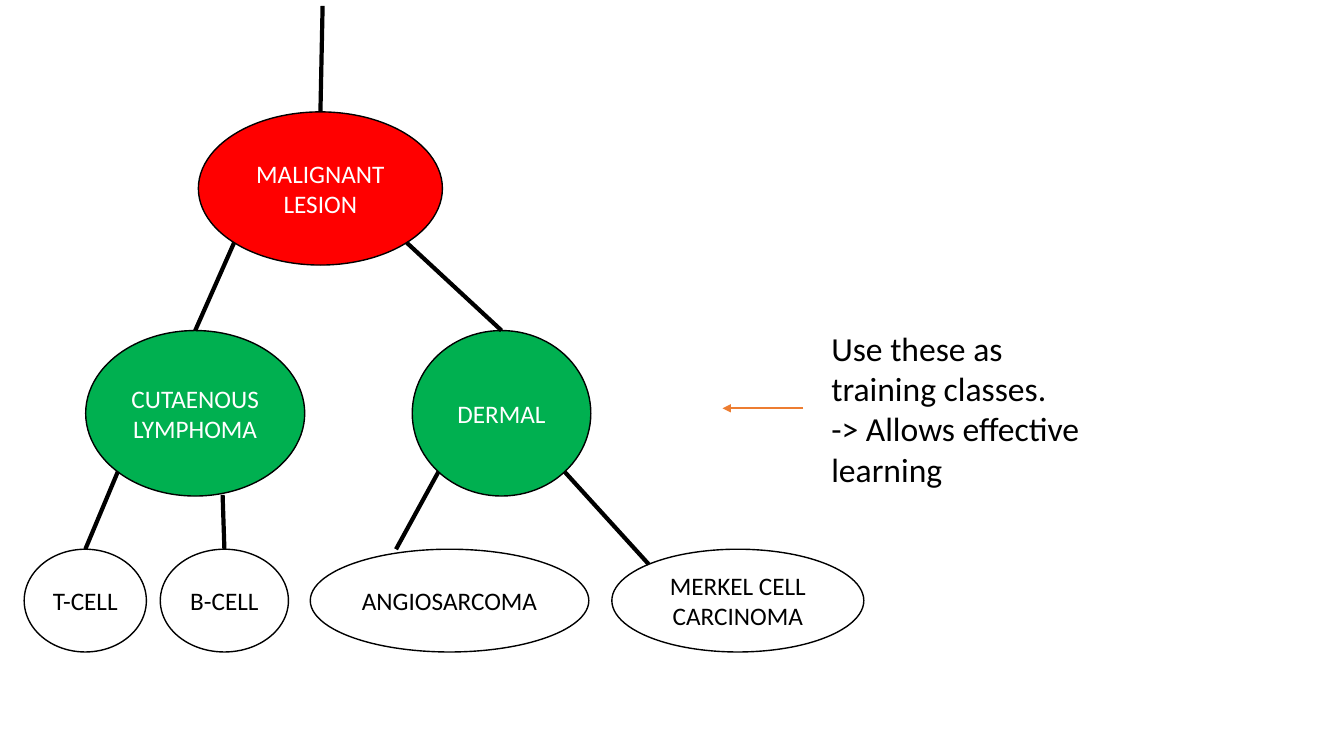
from dataclasses import dataclass
from math import cos, radians, sin

from lxml.etree import SubElement
from pptx import Presentation
from pptx.dml.color import RGBColor
from pptx.enum.shapes import MSO_CONNECTOR, MSO_SHAPE
from pptx.enum.text import MSO_ANCHOR, MSO_AUTO_SIZE, PP_ALIGN
from pptx.oxml.ns import qn
from pptx.util import Cm, Pt


@dataclass(frozen=True)
class Theme:
    """Colours, font and sizes of the slide."""
    font: str = "Calibri"
    black: RGBColor = RGBColor(0, 0, 0)
    white: RGBColor = RGBColor(255, 255, 255)
    red: RGBColor = RGBColor(255, 0, 0)
    green: RGBColor = RGBColor(0, 176, 80)
    orange: RGBColor = RGBColor(237, 125, 49)
    label_size: int = 18
    note_size: int = 24
    outline: float = 1
    branch: float = 3
    arrow: float = 1.5


THEME = Theme()
TOP, UPPER_LEFT, LOWER_LEFT, LOWER_RIGHT = 270, 225, 135, 45
ROOT_ROW = 2.82, 3.86
CLASS_ROW = 8.33, 4.17
LEAF_ROW = 13.84, 2.59


def write(frame, text, size=THEME.label_size, color=THEME.black,
          align=PP_ALIGN.LEFT, anchor=MSO_ANCHOR.TOP):
    """Fill a text frame, one paragraph for each line of text."""
    frame.word_wrap = True
    frame.vertical_anchor = anchor
    frame.text = text
    for paragraph in frame.paragraphs:
        paragraph.alignment = align
        paragraph.font.name = THEME.font
        paragraph.font.size = Pt(size)
        paragraph.font.color.rgb = color


def add_node(slide, label, left, width, row, fill=THEME.white, color=THEME.white):
    """Add a labelled ellipse in a row of the tree."""
    top, height = row
    node = slide.shapes.add_shape(MSO_SHAPE.OVAL, Cm(left), Cm(top), Cm(width), Cm(height))
    node.shadow.inherit = False
    node.fill.solid()
    node.fill.fore_color.rgb = fill
    node.line.color.rgb = THEME.black
    node.line.width = Pt(THEME.outline)
    write(node.text_frame, label, color=color, align=PP_ALIGN.CENTER, anchor=MSO_ANCHOR.MIDDLE)
    return node


def rim(node, degrees):
    """Return the point on an ellipse at a clockwise angle from its right end."""
    angle = radians(degrees)
    return (round(node.left + node.width * (1 + cos(angle)) / 2),
            round(node.top + node.height * (1 + sin(angle)) / 2))


def add_line(slide, start, end, color=THEME.black, width=THEME.branch):
    """Draw a straight line between two points."""
    line = slide.shapes.add_connector(MSO_CONNECTOR.STRAIGHT, *start, *end)
    line.line.color.rgb = color
    line.line.width = Pt(width)
    SubElement(line._element.spPr, qn("a:effectLst"))
    return line


def add_arrow(slide, start, end):
    """Draw an arrow that points at its end."""
    arrow = add_line(slide, start, end, THEME.orange, THEME.arrow)
    SubElement(arrow.line._get_or_add_ln(), qn("a:tailEnd"), type="triangle")


def add_note(slide, text, left, top, width, height):
    """Add the remark beside the tree."""
    note = slide.shapes.add_textbox(Cm(left), Cm(top), Cm(width), Cm(height))
    write(note.text_frame, text, size=THEME.note_size)
    note.text_frame.auto_size = MSO_AUTO_SIZE.SHAPE_TO_FIT_TEXT


def add_tree(slide):
    """Add the lesion tree with its nodes and branches."""
    malignant = add_node(slide, "MALIGNANT LESION", 5, 6.15, ROOT_ROW, THEME.red)
    lymphoma = add_node(slide, "CUTAENOUS LYMPHOMA", 2.16, 5.52, CLASS_ROW, THEME.green)
    dermal = add_node(slide, "DERMAL", 10.39, 4.5, CLASS_ROW, THEME.green)
    t_cell, b_cell, angiosarcoma, merkel = [
        add_node(slide, label, left, width, LEAF_ROW, color=THEME.black)
        for label, left, width in (
            ("T-CELL", 0.61, 3.08),
            ("B-CELL", 4.04, 3.23),
            ("ANGIOSARCOMA", 7.82, 7.02),
            ("MERKEL CELL CARCINOMA", 15.42, 6.35),
        )
    ]
    for start, end in (
        ((Cm(8.13), Cm(0.15)), rim(malignant, TOP)),
        (rim(malignant, LOWER_LEFT), rim(lymphoma, TOP)),
        (rim(malignant, LOWER_RIGHT), rim(dermal, TOP)),
        (rim(lymphoma, LOWER_LEFT), rim(t_cell, TOP)),
        ((Cm(5.61), Cm(12.47)), rim(b_cell, TOP)),
        (rim(dermal, LOWER_LEFT), (Cm(9.98), angiosarcoma.top)),
        (rim(dermal, LOWER_RIGHT), rim(merkel, UPPER_LEFT)),
    ):
        add_line(slide, start, end)


def main():
    """Build the slide and save it."""
    deck = Presentation()
    deck.slide_width, deck.slide_height = Cm(33.87), Cm(19.05)
    slide = deck.slides.add_slide(deck.slide_layouts[6])
    add_tree(slide)
    add_note(slide, "Use these as training classes.\n-> Allows effective learning",
             20.7, 8.13, 7.54, 4.37)
    add_arrow(slide, (Cm(20.24), Cm(10.29)), (Cm(18.21), Cm(10.29)))
    deck.save("out.pptx")


if __name__ == "__main__":
    main()
